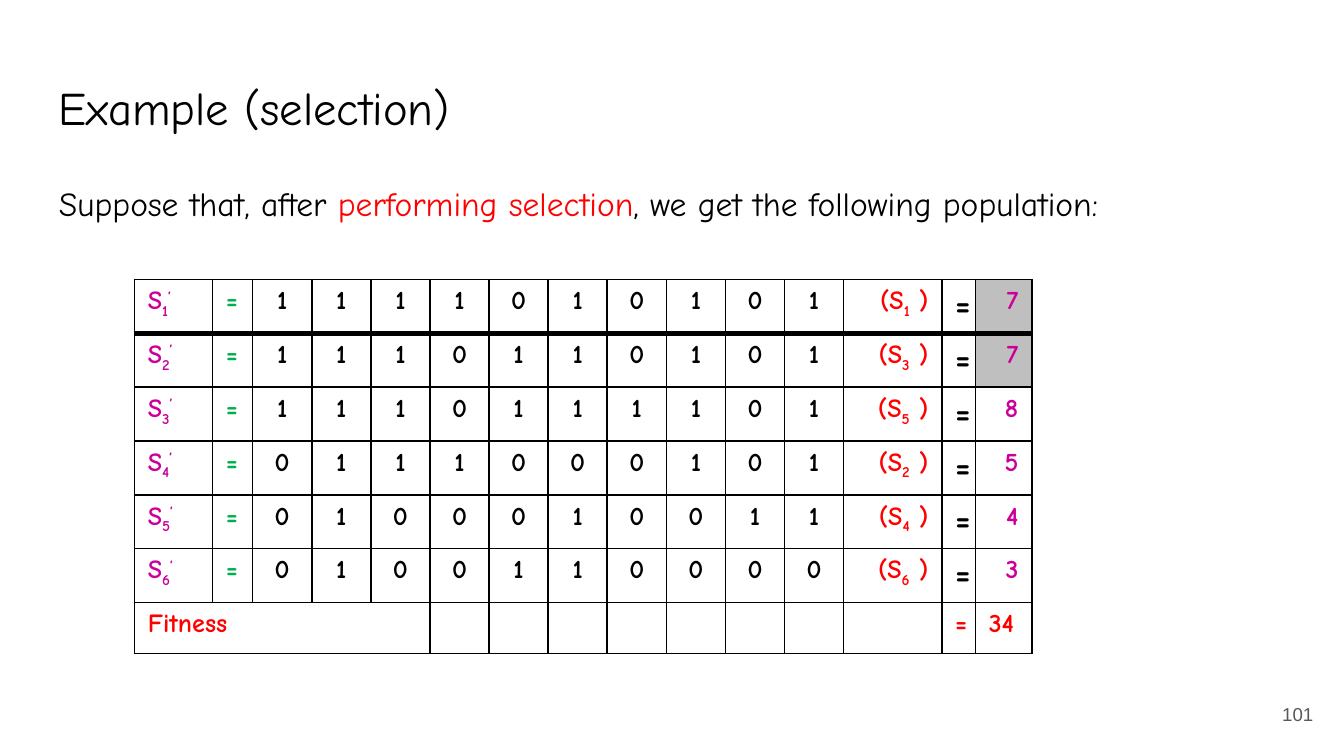
import pptx
import pptx.dml.color
import pptx.enum.text
import pptx.oxml
import pptx.oxml.ns
import pptx.util

Pt = pptx.util.Pt
ALIGN = pptx.enum.text.PP_ALIGN
ANCHOR = pptx.enum.text.MSO_ANCHOR


class Theme:
    font, number_font = "Comic Neue", "Arial"
    black, red, green, purple = "000000", "FF0000", "00B050", "CC0099"
    shade, muted = "BFBFBF", "595959"
    title, body, cell, number = 25, 18, 14, 10
    thin, thick = 1, 3


# Bits of each selected string, its source string, and its fitness
POPULATION = [
    ("1111010101", 1, 7),
    ("1110110101", 3, 7),
    ("1110111101", 5, 8),
    ("0111000101", 2, 5),
    ("0100010011", 4, 4),
    ("0100110000", 6, 3),
]
TOTAL_FITNESS = sum(fitness for _, _, fitness in POPULATION)
SHADED_ROWS = 2
COL_WIDTHS = [41.76, 21.6] + [31.68] * 10 + [52.56, 18, 30.24]
ROW_HEIGHTS = [28.8] * len(POPULATION) + [27.36]


def rgb(color):
    return pptx.dml.color.RGBColor.from_string(color)


def add_run(p, text, size=Theme.body, color=Theme.black, font=Theme.font,
            bold=False, baseline=0):
    r = p.add_run()
    r.text = text
    r.font.size, r.font.name, r.font.bold = Pt(size), font, bold
    r.font.color.rgb = rgb(color)
    if baseline:
        r.font._element.set("baseline", str(baseline * 1000))


def add_text(s, box, runs, align=ALIGN.LEFT, anchor=ANCHOR.TOP):
    """Place one paragraph made of (text, format) runs in a box."""
    tf = s.shapes.add_textbox(*map(Pt, box)).text_frame
    tf.word_wrap = True
    tf.vertical_anchor = anchor
    tf.margin_left = tf.margin_right = tf.margin_top = tf.margin_bottom = Pt(7.2)
    p = tf.paragraphs[0]
    p.alignment = align
    for text, fmt in runs:
        add_run(p, text, **fmt)


def set_borders(cell, top, bottom):
    tc_pr = cell._tc.get_or_add_tcPr()
    widths = {"L": Theme.thin, "R": Theme.thin, "T": top, "B": bottom}
    for side, width in widths.items():
        tc_pr.append(pptx.oxml.parse_xml(
            f'<a:ln{side} {pptx.oxml.ns.nsdecls("a")} w="{Pt(width)}">'
            f'<a:solidFill><a:srgbClr val="{Theme.black}"/></a:solidFill>'
            f'</a:ln{side}>'))


def fill_cell(cell, *runs, align=ALIGN.LEFT, **fmt):
    """Write (text, baseline) runs that share one format."""
    p = cell.text_frame.paragraphs[0]
    p.alignment = align
    for text, baseline in runs:
        add_run(p, text, baseline=baseline, bold=True,
                **{"size": Theme.cell, **fmt})


def add_population_table(s, box):
    table = s.shapes.add_table(len(ROW_HEIGHTS), len(COL_WIDTHS),
                               *map(Pt, box)).table
    table.first_row = table.horz_banding = False
    for col, width in zip(table.columns, COL_WIDTHS):
        col.width = Pt(width)
    for row, height in zip(table.rows, ROW_HEIGHTS):
        row.height = Pt(height)

    # Borders, with a thick rule under the first row, and fills
    for i, row in enumerate(table.rows):
        for cell in row.cells:
            set_borders(cell, Theme.thick if i == 1 else Theme.thin,
                        Theme.thick if i == 0 else Theme.thin)
            cell.fill.background()
            cell.text_frame.paragraphs[0].font.size = Pt(Theme.cell)

    # One row for each selected string
    for i, (bits, source, fitness) in enumerate(POPULATION):
        cells = list(table.rows[i].cells)
        fill_cell(cells[0], ("S", 0), (str(i + 1), -25), ("’", 30),
                  color=Theme.purple)
        fill_cell(cells[1], ("=", 0), color=Theme.green)
        for cell, bit in zip(cells[2:12], bits):
            fill_cell(cell, (bit, 0), align=ALIGN.CENTER)
        fill_cell(cells[12], ("(S", 0), (str(source), -25), (" )", 0),
                  color=Theme.red, align=ALIGN.RIGHT)
        fill_cell(cells[13], ("=", 0), size=Theme.body, align=ALIGN.RIGHT)
        fill_cell(cells[14], (str(fitness), 0), color=Theme.purple,
                  align=ALIGN.RIGHT)
        if i < SHADED_ROWS:
            cells[14].fill.solid()
            cells[14].fill.fore_color.rgb = rgb(Theme.shade)

    # Total row
    last = len(POPULATION)
    table.cell(last, 0).merge(table.cell(last, 4))
    for col, text in ((0, "Fitness"), (13, "="), (14, str(TOTAL_FITNESS))):
        fill_cell(table.cell(last, col), (text, 0), color=Theme.red)


def add_title(s, box):
    add_text(s, box, [("Example (selection)", {"size": Theme.title})])


def add_body(s, box):
    add_text(s, box, [
        ("Suppose that, after ", {}),
        ("performing selection", {"color": Theme.red}),
        (", we get the following population:", {}),
    ])


def add_slide_number(s, box):
    fmt = {"size": Theme.number, "color": Theme.muted, "font": Theme.number_font}
    add_text(s, box, [("101", fmt)], ALIGN.RIGHT, ANCHOR.MIDDLE)


def main():
    prs = pptx.Presentation()
    prs.slide_width, prs.slide_height = Pt(720), Pt(405)
    s = prs.slides.add_slide(prs.slide_layouts[6])
    add_title(s, (24.5, 35.3, 671, 45.4))
    add_body(s, (24.5, 90.7, 671, 269.3))
    add_slide_number(s, (667.4, 367.2, 43.2, 31))
    add_population_table(s, (72, 149.8, sum(COL_WIDTHS), sum(ROW_HEIGHTS)))
    prs.save("out.pptx")


if __name__ == "__main__":
    main()
